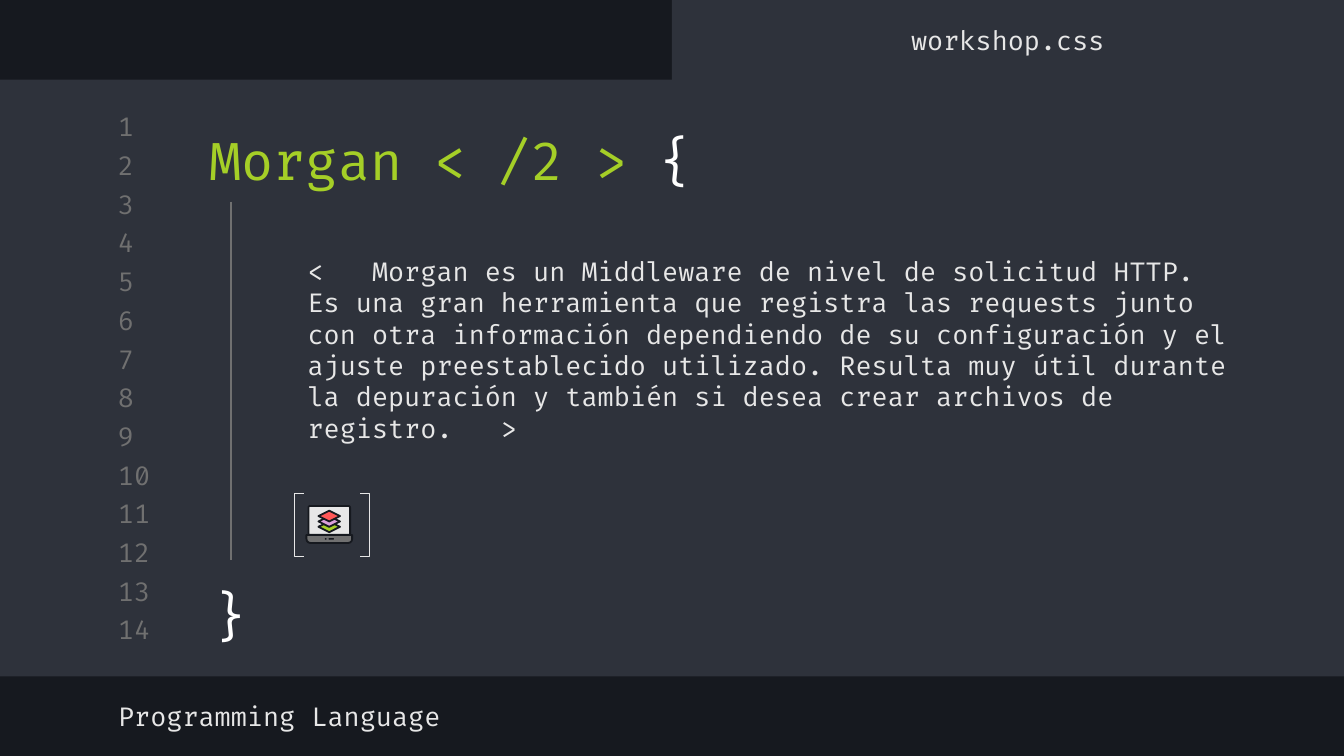
from dataclasses import dataclass

from pptx import Presentation
from pptx.dml.color import RGBColor
from pptx.enum.shapes import MSO_CONNECTOR, MSO_SHAPE
from pptx.enum.text import MSO_ANCHOR, MSO_AUTO_SIZE, PP_ALIGN
from pptx.oxml.ns import qn
from pptx.util import Inches, Pt

COLUMNS, ROWS = 100, 56.25  # square cells, 0.1 inch a side


@dataclass(frozen=True)
class Theme:
    font: str = "Fira Code"
    body_size: int = 14
    title_size: int = 28
    thin: float = 0.75
    outline: float = 1
    night: str = "16191F"
    panel: str = "2E323B"
    muted: str = "707070"
    text: str = "E7E7E7"
    white: str = "FFFFFF"
    green: str = "A5CF27"
    violet: str = "DBA0DB"
    red: str = "FF5858"


def cells(*counts):
    """Turn numbers of grid cells into lengths."""
    return [Inches(count / 10) for count in counts]


class CodeSlide:
    def __init__(self, deck, theme):
        self.theme = theme
        self.page = deck.slides.add_slide(deck.slide_layouts[5])
        self.shapes = self.page.shapes
        fill = self.page.background.fill
        fill.solid()
        fill.fore_color.rgb = RGBColor.from_string(theme.night)

    def _paint(self, shape, fill=None, line=None, width=None):
        shape.shadow.inherit = False
        if fill:
            shape.fill.solid()
            shape.fill.fore_color.rgb = RGBColor.from_string(fill)
        else:
            shape.fill.background()
        if line:
            shape.line.color.rgb = RGBColor.from_string(line)
            shape.line.width = Pt(width)
        else:
            shape.line.fill.background()

    def _write(self, box, spans, size, align, anchor):
        """Fill a box with one paragraph made of (text, colour) spans."""
        frame = box.text_frame
        frame.word_wrap = True
        frame.auto_size = MSO_AUTO_SIZE.NONE
        frame.vertical_anchor = anchor
        frame.margin_left = frame.margin_right = Inches(0.1)
        frame.margin_top = frame.margin_bottom = Inches(0.1)
        para = frame.paragraphs[0]
        para.alignment = align
        para.font.name = self.theme.font
        para.font.size = Pt(size)
        for text, color in spans:
            span = para.add_run()
            span.text = text
            span.font.color.rgb = RGBColor.from_string(color)

    def title(self, place, spans):
        """Place and fill the title, in front of everything drawn so far."""
        box = self.shapes.title
        box.left, box.top, box.width, box.height = cells(*place)
        self._write(box, spans, self.theme.title_size, PP_ALIGN.LEFT, MSO_ANCHOR.MIDDLE)
        self.shapes._spTree.append(box._element)

    def text(self, place, text, color=None, size=None,
             align=PP_ALIGN.LEFT, anchor=MSO_ANCHOR.MIDDLE):
        box = self.shapes.add_textbox(*cells(*place))
        spans = [(text, color or self.theme.text)]
        self._write(box, spans, size or self.theme.body_size, align, anchor)

    def shape(self, kind, place, fill=None, line=None, width=None, corners=(), turn=0):
        shape = self.shapes.add_shape(kind, *cells(*place))
        shape.rotation = turn
        for index, corner in enumerate(corners):
            shape.adjustments[index] = corner
        self._paint(shape, fill, line, width)

    def rule(self, start, end):
        rule = self.shapes.add_connector(MSO_CONNECTOR.STRAIGHT, *cells(*start, *end))
        rule.line.color.rgb = RGBColor.from_string(self.theme.muted)
        rule.line.width = Pt(self.theme.thin)
        properties = rule._element.spPr
        properties.append(properties.makeelement(qn("a:effectLst"), {}))

    def laptop(self):
        """Draw a laptop with three stacked layers on its screen."""
        theme = self.theme
        edge = {"line": theme.night, "width": theme.outline}
        top_rounded = MSO_SHAPE.ROUND_2_SAME_RECTANGLE
        self.shape(top_rounded, (22.95, 37.65, 3.1, 2.15), theme.text, corners=(0.06, 0), **edge)
        self.shape(top_rounded, (22.8, 39.8, 3.4, 0.6), theme.muted,
                   corners=(0.5, 0), turn=180, **edge)
        for step, color in enumerate((theme.green, theme.violet, theme.red)):
            self.shape(MSO_SHAPE.DIAMOND, (23.7, 38.8 - 0.4 * step, 1.6, 0.8), color, **edge)
        for left, width in ((24.17, 0.13), (24.45, 0.4)):
            self.shape(MSO_SHAPE.ROUNDED_RECTANGLE, (left, 40.03, width, 0.13),
                       theme.night, corners=(0.5,))


def main():
    theme = Theme()
    deck = Presentation()
    deck.slide_width, deck.slide_height = cells(COLUMNS, ROWS)
    slide = CodeSlide(deck, theme)

    half = COLUMNS / 2
    for panel in ((0, 5.93, COLUMNS, 44.4), (half, 0, half, 6.5)):
        slide.shape(MSO_SHAPE.RECTANGLE, panel, theme.panel)
    for index in range(14):
        slide.text((7.8, 8.2 + 2.88 * index, 4.7, 2.4), str(index + 1), theme.muted)

    slide.text(
        (21.9, 16.4, 71.1, 19.2),
        "<   Morgan es un Middleware de nivel de solicitud HTTP. Es una gran herramienta "
        "que registra las requests junto con otra información dependiendo de su "
        "configuración y el ajuste preestablecido utilizado. Resulta muy útil durante "
        "la depuración y también si desea crear archivos de registro.   >")
    slide.title((14.6, 9, 44.4, 5.8), [("Morgan < /2 > ", theme.green), ("{", theme.white)])

    slide.laptop()
    slide.text((7.8, 51.35, 53.2, 3.9), "Programming Language")
    slide.text((half, 1, half, 3.9), "workshop.css", align=PP_ALIGN.CENTER)
    for kind, left in ((MSO_SHAPE.RIGHT_BRACKET, 26.8), (MSO_SHAPE.LEFT_BRACKET, 21.9)):
        slide.shape(kind, (left, 36.7, 0.7, 4.7), line=theme.text,
                    width=theme.thin, corners=(0,))

    slide.rule((17.2, 15), (17.2, 41.7))
    slide.text((14.4, 42.4, 5.5, 6.7), "}", theme.white, theme.title_size,
               PP_ALIGN.CENTER, MSO_ANCHOR.TOP)

    deck.save("out.pptx")


if __name__ == "__main__":
    main()
